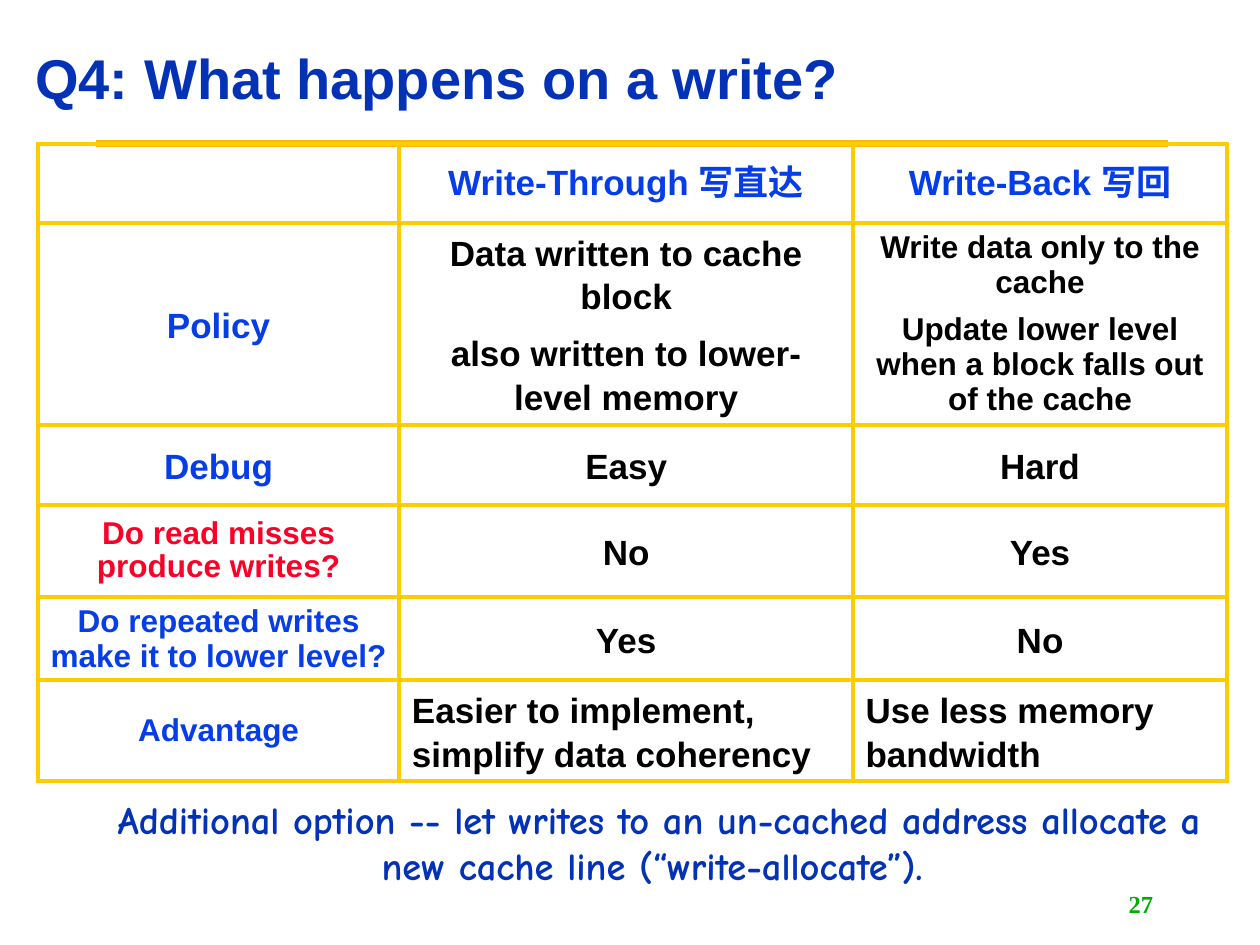
from dataclasses import dataclass

from lxml import etree
from pptx import Presentation
from pptx import util as u
from pptx.dml.color import RGBColor
from pptx.enum import shapes, text
from pptx.oxml import ns

CENTER, LEFT, RIGHT = text.PP_ALIGN.CENTER, text.PP_ALIGN.LEFT, text.PP_ALIGN.RIGHT


@dataclass(frozen=True)
class Theme:
    navy: str = "0332B7"
    blue: str = "053DE8"
    red: str = "FC0128"
    black: str = "000000"
    green: str = "00AE00"
    rule: str = "FBBA03"
    grid: str = "FFCC00"
    body_font: str = "Arial"
    note_font: str = "Comic Neue"
    number_font: str = "Times New Roman"
    title_size: int = 32
    note_size: int = 22
    cell_size: int = 20
    small_size: int = 18
    number_size: int = 14


THEME = Theme()


@dataclass(frozen=True)
class Entry:
    """Content of one table cell."""
    lines: tuple
    color: str = THEME.black
    size: int = THEME.cell_size
    leading: int = 25
    gap: float = 7.5
    align: int = CENTER


def small(*lines, color=THEME.black, leading=20):
    return Entry(lines, color, THEME.small_size, leading, 6.8)


def label(words):
    return Entry((words,), THEME.blue)


def answer(words, align=CENTER):
    return Entry((words,), align=align)


COLUMN_WIDTHS = (2.87, 3.6, 2.97)
ROW_HEIGHTS = (0.63, 1.6, 0.64, 0.73, 0.66, 0.8)
COMPARISON = (
    (None, label("Write-Through 写直达"), label("Write-Back 写回")),
    (label("Policy"),
     Entry(("Data written to cache block", "also written to lower-level memory")),
     small("Write data only to the cache",
           "Update lower level when a block falls out of the cache")),
    (label("Debug"), answer("Easy"), answer("Hard")),
    (small("Do read misses produce writes?", color=THEME.red, leading=19),
     answer("No"), answer("Yes")),
    (small("Do repeated writes make it to lower level?", color=THEME.blue),
     answer("Yes"), answer("No")),
    (small("Advantage", color=THEME.blue),
     answer("Easier to implement, simplify data coherency", LEFT),
     answer("Use less memory bandwidth", LEFT)),
)


def add_run(paragraph, words, size, color, font=THEME.body_font):
    run = paragraph.add_run()
    run.text = words
    run.font.name = font
    run.font.size = u.Pt(size)
    run.font.bold = True
    run.font.color.rgb = RGBColor.from_string(color)


def add_text(slide, area, words, size, color, font, align, anchor, wrap=True):
    box = slide.shapes.add_textbox(*map(u.Inches, area))
    frame = box.text_frame
    frame.word_wrap = wrap
    frame.vertical_anchor = anchor
    paragraph = frame.paragraphs[0]
    paragraph.alignment = align
    add_run(paragraph, words, size, color, font)
    return frame


def add_rule(slide, left, right, top):
    rule = slide.shapes.add_connector(
        shapes.MSO_CONNECTOR.STRAIGHT,
        u.Inches(left), u.Inches(top), u.Inches(right), u.Inches(top))
    rule.line.color.rgb = RGBColor.from_string(THEME.rule)
    rule.line.width = u.Pt(3.75)
    etree.SubElement(rule._element.spPr, ns.qn("a:effectLst"))


def set_borders(cell, color, width):
    properties = cell._tc.get_or_add_tcPr()
    for position, side in enumerate(("lnL", "lnR", "lnT", "lnB")):
        border = etree.Element(ns.qn("a:" + side), w=str(u.Pt(width)))
        fill = etree.SubElement(border, ns.qn("a:solidFill"))
        etree.SubElement(fill, ns.qn("a:srgbClr"), val=color)
        properties.insert(position, border)


def fill_cell(cell, entry):
    cell.fill.background()
    cell.vertical_anchor = text.MSO_ANCHOR.MIDDLE
    set_borders(cell, THEME.grid, 2.5)
    if entry is None:
        return
    frame = cell.text_frame
    for index, words in enumerate(entry.lines):
        paragraph = frame.add_paragraph() if index else frame.paragraphs[0]
        paragraph.alignment = entry.align
        paragraph.line_spacing = u.Pt(entry.leading)
        if index:
            paragraph.space_before = u.Pt(entry.gap)
        add_run(paragraph, words, entry.size, entry.color)


def add_comparison(slide, left, top):
    table = slide.shapes.add_table(
        len(ROW_HEIGHTS), len(COLUMN_WIDTHS), u.Inches(left), u.Inches(top),
        u.Inches(sum(COLUMN_WIDTHS)), u.Inches(sum(ROW_HEIGHTS))).table
    table.first_row = table.horz_banding = False
    for column, width in zip(table.columns, COLUMN_WIDTHS):
        column.width = u.Inches(width)
    for row, height, entries in zip(table.rows, ROW_HEIGHTS, COMPARISON):
        row.height = u.Inches(height)
        for cell, entry in zip(row.cells, entries):
            fill_cell(cell, entry)


def main():
    deck = Presentation()
    deck.slide_width, deck.slide_height = u.Inches(10), u.Inches(7.5)
    slide = deck.slides.add_slide(deck.slide_layouts[6])

    # Rule and slide number
    add_rule(slide, 0.76, 9.27, 1.14)
    add_text(slide, (7.17, 7.01, 2.08, 0.32), "27", THEME.number_size, THEME.green,
             THEME.number_font, RIGHT, text.MSO_ANCHOR.MIDDLE, wrap=False)

    # Title
    title = add_text(slide, (0.15, 0.23, 9.81, 0.83), "Q4: What happens on a write?",
                     THEME.title_size, THEME.navy, THEME.body_font, LEFT,
                     text.MSO_ANCHOR.MIDDLE)
    title.paragraphs[0].line_spacing = 0.9
    title.margin_left = u.Inches(0.13)

    # Comparison of the write policies
    add_comparison(slide, 0.3, 1.14)

    # Closing note
    note = add_text(slide, (0.88, 6.32, 8.7, 0.73),
                    "Additional option -- let writes to an un-cached address "
                    "allocate a new cache line (“write-allocate”). ",
                    THEME.note_size, THEME.navy, THEME.note_font, CENTER,
                    text.MSO_ANCHOR.TOP)
    note.margin_left = note.margin_right = note.margin_top = note.margin_bottom = 0

    deck.save("out.pptx")


if __name__ == "__main__":
    main()
